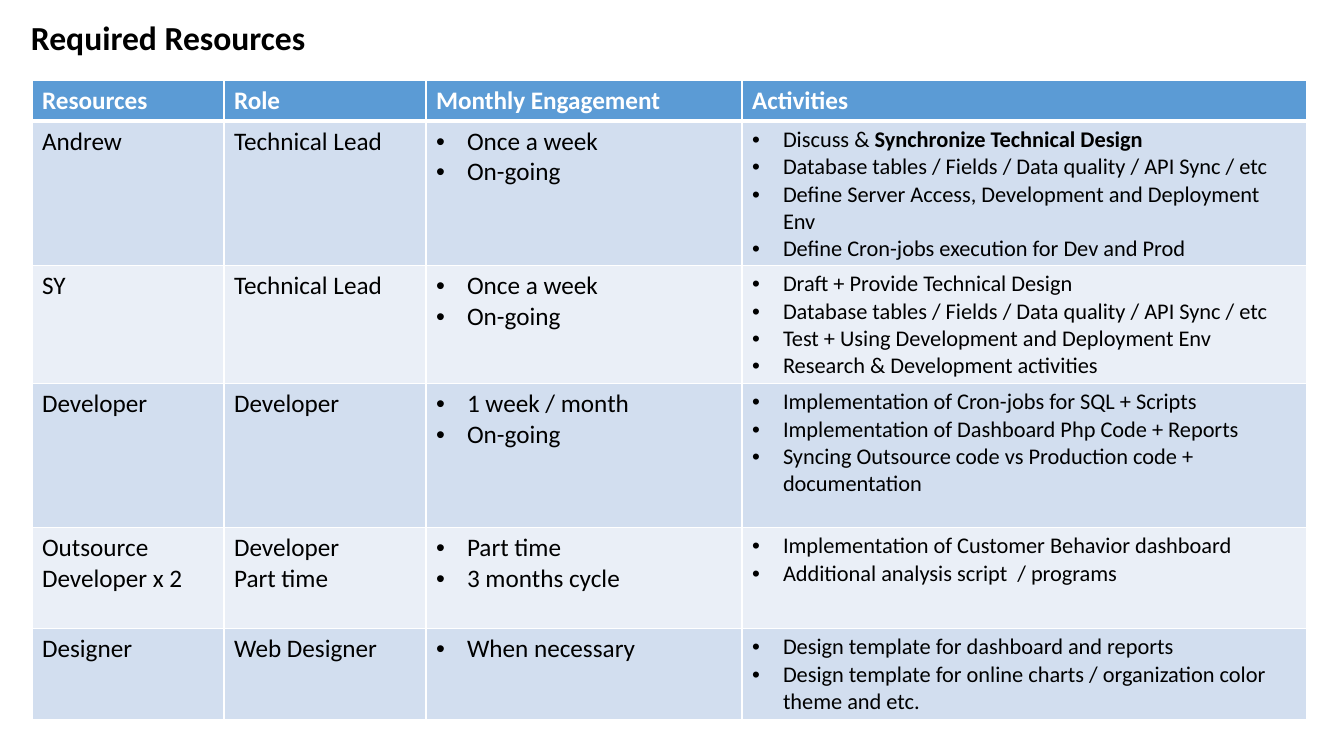
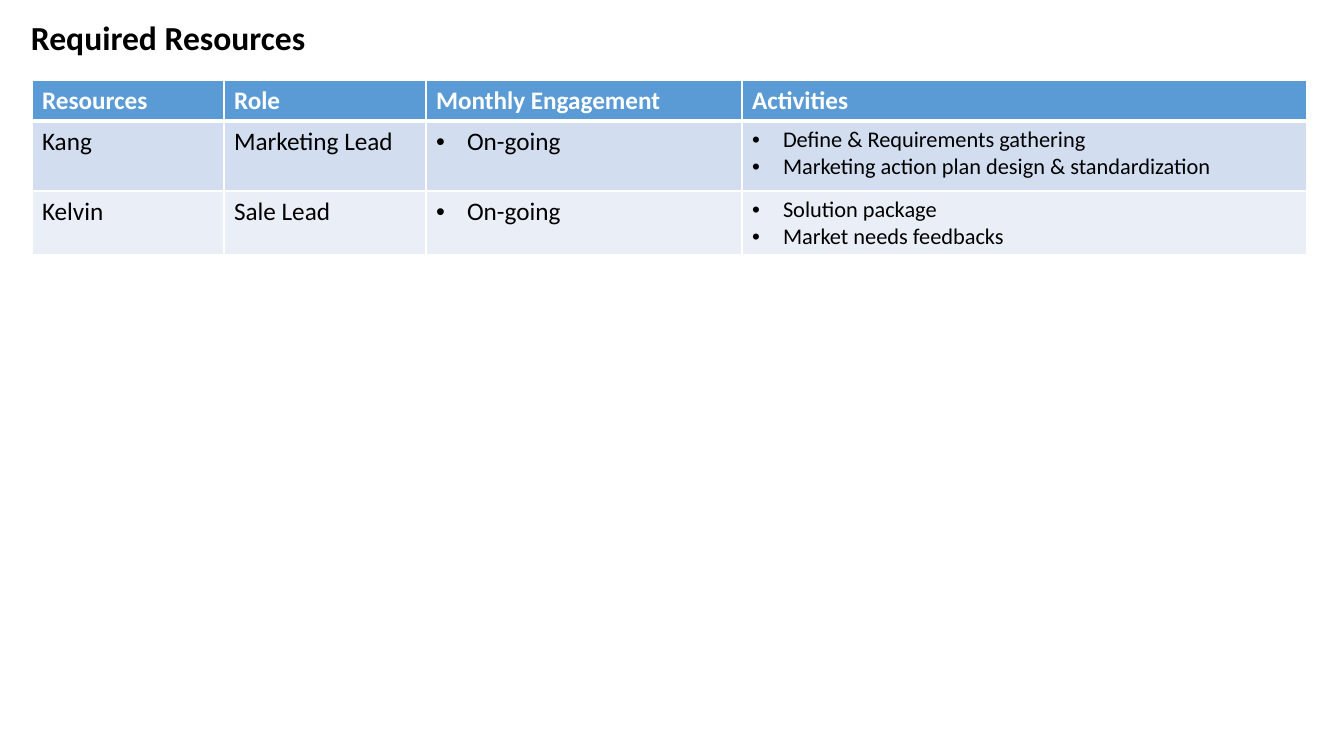
from pptx import Presentation
from pptx.dml.color import RGBColor
from pptx.oxml.ns import qn
from pptx.util import Emu, Pt
from lxml.etree import SubElement

# Content: text between ** marks is bold
TITLE = "Required Resources"
HEADERS = ["Resources", "Role", "Monthly Engagement", "Activities"]
SLIDES = [
    {
        "title_width": 1286,
        "row_heights": [41, 144, 118, 144, 101, 91],
        "rows": [
            (["Andrew"], ["Technical Lead"], ["Once a week", "On-going"], [
                "Discuss & **Synchronize Technical Design**",
                "Database tables / Fields / Data quality / API Sync / etc",
                "Define Server Access, Development and Deployment Env",
                "Define Cron-jobs execution for Dev and Prod"]),
            (["SY"], ["Technical Lead"], ["Once a week", "On-going"], [
                "Draft + Provide Technical Design",
                "Database tables / Fields / Data quality / API Sync / etc",
                "Test + Using Development and Deployment Env",
                "Research & Development activities"]),
            (["Developer"], ["Developer"], ["1 week / month", "On-going"], [
                "Implementation of Cron-jobs for SQL + Scripts",
                "Implementation of Dashboard Php Code + Reports",
                "Syncing Outsource code vs Production code + documentation"]),
            (["Outsource Developer x 2"], ["Developer", "Part time"],
             ["Part time", "3 months cycle"], [
                "Implementation of Customer Behavior dashboard",
                "Additional analysis script  / programs"]),
            (["Designer"], ["Web Designer"], ["When necessary"], [
                "Design template for dashboard and reports",
                "Design template for online charts / organization color theme and etc."]),
        ],
    },
    {
        "title_width": 620,
        "row_heights": [41, 70, 64],
        "rows": [
            (["Kang"], ["Marketing Lead"], ["On-going"], [
                "Define & Requirements gathering",
                "Marketing action plan design & standardization"]),
            (["Kelvin"], ["Sale Lead"], ["On-going"], [
                "Solution package",
                "Market needs feedbacks"]),
        ],
    },
]

# Shared style
FONT = "Calibri"
BLACK, WHITE, HEADER_FILL = "000000", "FFFFFF", "5B9BD5"
BAND_FILLS = ["D2DEEF", "EAEFF7"]
SLIDE_SIZE = (1344, 756)
TITLE_LEFT, TITLE_TOP, TITLE_HEIGHT = 21, 12, 50
TABLE_LEFT, TABLE_TOP = 32, 80
COLUMN_WIDTHS = [192, 202, 316, 565]
COLUMN_SIZES = [18, 18, 18, 16]
BULLET_COLUMNS = (2, 3)
BULLET_INDENT = 31
THIN, THICK = 1, 3


def px(length):
    return Emu(round(length * 914400 / 100.8))


def color(value):
    return RGBColor.from_string(value)


def write_text(text_frame, lines, size=18, text_color=BLACK, bold=False, bullet=False):
    text_frame.word_wrap = True
    for number, line in enumerate(lines):
        paragraph = text_frame.add_paragraph() if number else text_frame.paragraphs[0]
        if bullet:
            properties = paragraph._p.get_or_add_pPr()
            properties.set("marL", str(px(BULLET_INDENT)))
            properties.set("indent", str(-px(BULLET_INDENT)))
            SubElement(properties, qn("a:buFont"), typeface="Arial")
            SubElement(properties, qn("a:buChar"), char="•")
        for part, words in enumerate(line.split("**")):
            if not words:
                continue
            run = paragraph.add_run()
            run.text = words
            run.font.name = FONT
            run.font.size = Pt(size)
            run.font.bold = bold or part % 2 == 1
            run.font.color.rgb = color(text_color)


def format_cell(cell, fill, top, bottom):
    # Borders come before the fill in the cell properties
    properties = cell._tc.get_or_add_tcPr()
    for side, width in (("L", THIN), ("R", THIN), ("T", top), ("B", bottom)):
        border = SubElement(properties, qn(f"a:ln{side}"), w=str(Pt(width)))
        SubElement(SubElement(border, qn("a:solidFill")), qn("a:srgbClr"), val=WHITE)
    cell.fill.solid()
    cell.fill.fore_color.rgb = color(fill)


def add_title(slide, width):
    box = slide.shapes.add_textbox(px(TITLE_LEFT), px(TITLE_TOP), px(width), px(TITLE_HEIGHT))
    write_text(box.text_frame, [TITLE], size=24, bold=True)


def add_resource_table(slide, rows, row_heights):
    table = slide.shapes.add_table(
        len(row_heights), len(HEADERS), px(TABLE_LEFT), px(TABLE_TOP),
        px(sum(COLUMN_WIDTHS)), px(sum(row_heights))).table
    for column, width in zip(table.columns, COLUMN_WIDTHS):
        column.width = px(width)
    for row, height in zip(table.rows, row_heights):
        row.height = px(height)

    # Header row
    for index, header in enumerate(HEADERS):
        cell = table.cell(0, index)
        format_cell(cell, HEADER_FILL, THIN, THICK)
        write_text(cell.text_frame, [header], text_color=WHITE, bold=True)

    # Banded body rows
    for row_index, row in enumerate(rows):
        for index, lines in enumerate(row):
            cell = table.cell(row_index + 1, index)
            format_cell(cell, BAND_FILLS[row_index % 2], THIN if row_index else THICK, THIN)
            write_text(cell.text_frame, lines, size=COLUMN_SIZES[index],
                       bullet=index in BULLET_COLUMNS)


def main():
    presentation = Presentation()
    presentation.slide_width, presentation.slide_height = map(px, SLIDE_SIZE)
    for content in SLIDES:
        slide = presentation.slides.add_slide(presentation.slide_layouts[6])
        add_title(slide, content["title_width"])
        add_resource_table(slide, content["rows"], content["row_heights"])
    presentation.save("out.pptx")


if __name__ == "__main__":
    main()
